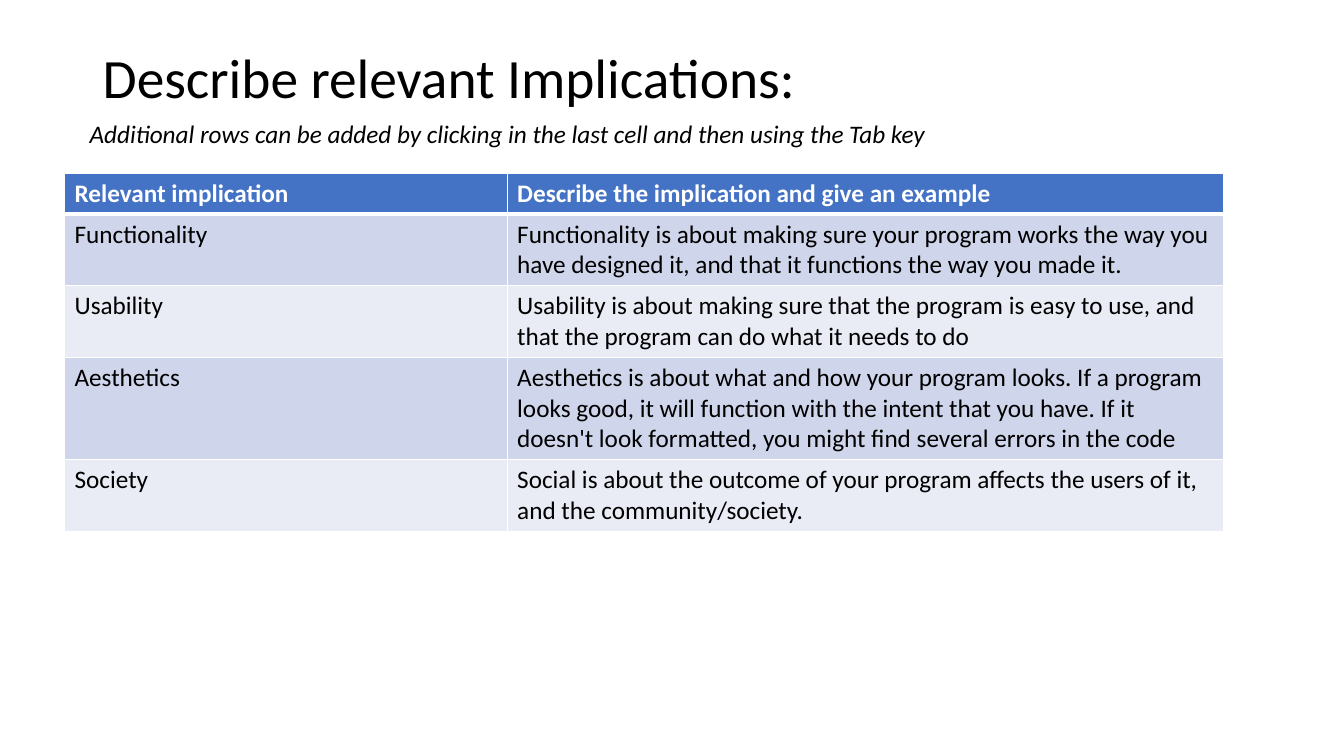
from lxml import etree
from pptx import Presentation
from pptx.dml.color import RGBColor
from pptx.enum import text
from pptx.oxml import ns
from pptx.util import Inches, Pt

# Content
TITLE = "Describe relevant Implications:"
HINT = ("Additional rows can be added by clicking in the last cell "
        "and then using the Tab key")
ROWS = [
    ("Relevant implication", "Describe the implication and give an example"),
    ("Functionality", "Functionality is about making sure your program works the way "
     "you have designed it, and that it functions the way you made it."),
    ("Usability", "Usability is about making sure that the program is easy to use, "
     "and that the program can do what it needs to do"),
    ("Aesthetics", "Aesthetics is about what and how your program looks. If a program "
     "looks good, it will function with the intent that you have. If it doesn't look "
     "formatted, you might find several errors in the code"),
    ("Society", "Social is about the outcome of your program affects the users of it, "
     "and the community/society."),
]
LINES = [1, 2, 2, 3, 2]  # text lines in each row
COLS = [4.39, 7.11]
LINE, PAD = 0.305, 0.1

THEME = dict(font="Calibri", title=39.6, body=18, ink="000000", head="4472C4",
             light="FFFFFF", bands=("E9EBF5", "CFD5EA"))

deck = Presentation()
deck.slide_width, deck.slide_height = Inches(13.33), Inches(7.5)
slide = deck.slides.add_slide(deck.slide_layouts[6])


def write(frame, words, size, ink, bold=False, italic=False):
    frame.text = words
    font = frame.paragraphs[0].runs[0].font
    font.name, font.size = THEME["font"], Pt(size)
    font.bold, font.italic = bold, italic
    font.color.rgb = RGBColor.from_string(ink)


def label(box, words, size, **style):
    frame = slide.shapes.add_textbox(*map(Inches, box)).text_frame
    frame.word_wrap = True
    write(frame, words, size, THEME["ink"], **style)
    return frame


def edge(cell, side, width):
    line = etree.Element(ns.qn("a:" + side), w=str(Pt(width)))
    fill = etree.SubElement(line, ns.qn("a:solidFill"))
    etree.SubElement(fill, ns.qn("a:srgbClr"), val=THEME["light"])
    return line


# Title and hint
head = label((0.92, 0.4, 11.5, 0.61), TITLE, THEME["title"])
head.vertical_anchor = text.MSO_ANCHOR.MIDDLE
head.paragraphs[0].line_spacing = 1.15
label((0.79, 1.12, 10.94, 0.4), HINT, THEME["body"], italic=True)

# Table
highs = [n * LINE + PAD for n in LINES]
table = slide.shapes.add_table(
    len(ROWS), len(COLS), Inches(0.64), Inches(1.72),
    Inches(sum(COLS)), Inches(sum(highs))).table
for col, wide in zip(table.columns, COLS):
    col.width = Inches(wide)
for r, (row, high) in enumerate(zip(ROWS, highs)):
    table.rows[r].height = Inches(high)
    top = r == 0
    for c, words in enumerate(row):
        cell = table.cell(r, c)
        write(cell.text_frame, words, THEME["body"],
              THEME["light" if top else "ink"], bold=top)
        cell.fill.solid()
        cell.fill.fore_color.rgb = RGBColor.from_string(
            THEME["head"] if top else THEME["bands"][r % 2])
        # Borders come before the fill; the rule under the header is thick
        widths = dict(lnL=1, lnR=1, lnT=3 if r == 1 else 1, lnB=3 if top else 1)
        props = cell._tc.get_or_add_tcPr()
        for i, (side, width) in enumerate(widths.items()):
            props.insert(i, edge(cell, side, width))

deck.save("out.pptx")
